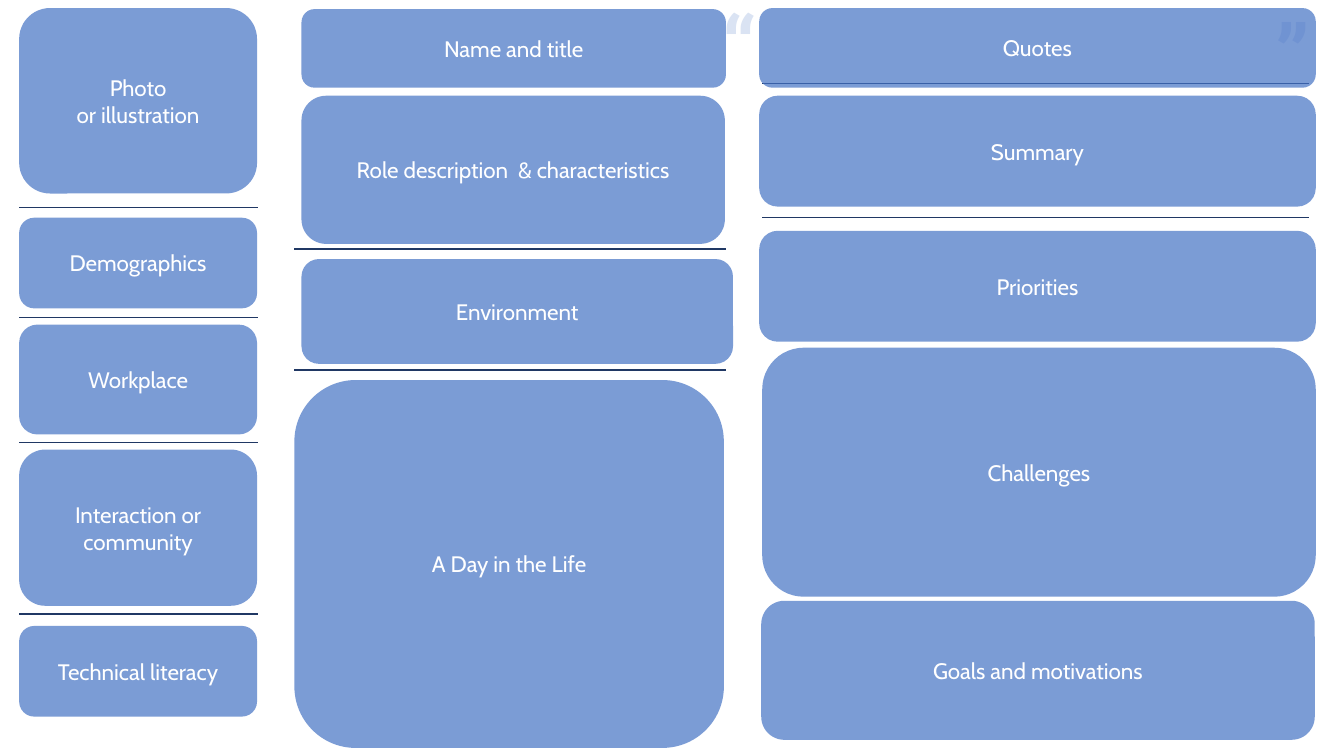
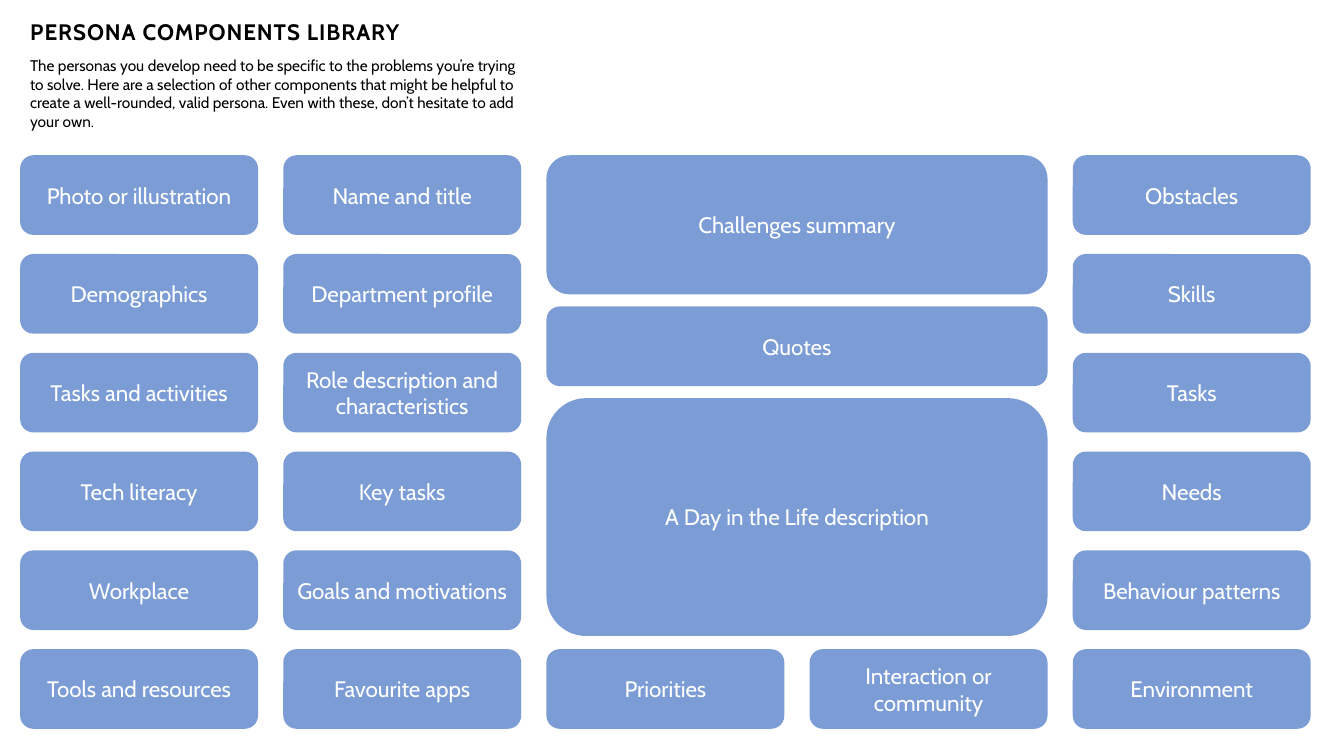
from lxml import etree
from pptx import Presentation
from pptx import util as u
from pptx.dml.color import RGBColor
from pptx.enum import shapes, text
from pptx.oxml.ns import qn

PX = 9144
CARD, NAVY, PALE, WHITE, BLACK = "4472C4", "203864", "DAE3F3", "FFFFFF", "000000"
BODY_FONT, QUOTE_FONT = "Cabin", "Roboto"
CARD_W, CARD_H = 236, 79
COL_X, COL_STEP = 20, 261
ROW_Y, ROW_STEP = 154, 98
WIDE_W = CARD_W + COL_STEP

RULES = [
    (19, 256, (206, 315, 439, 609)),
    (292, 720, (247, 367)),
    (756, 1298, (83, 216)),
]
QUOTE_MARKS = [("“", 707, -11), ("”", 1255, -3)]
PERSONA_CARDS = [
    ("Photo\vor illustration", 19, 8, 236, 184),
    ("Demographics", 19, 216, 236, 90),
    ("Workplace", 19, 322, 236, 109),
    ("Interaction or community", 19, 446, 236, 155),
    ("Technical literacy", 19, 621, 236, 90),
    ("Name and title", 299, 9, 421, 78),
    ("Role description  & characteristics", 299, 95, 420, 147),
    ("Environment", 299, 257, 428, 104),
    ("A Day in the Life", 292, 377, 426, 365),
    ("Quotes", 753, 8, 552, 79),
    ("Summary", 753, 95, 552, 110),
    ("Priorities", 753, 229, 552, 110),
    ("Challenges", 756, 345, 549, 247),
    ("Goals and motivations", 755, 596, 549, 138),
]
LIBRARY_COLUMNS = {
    0: ["Photo or illustration", "Demographics", "Tasks and activities",
        "Tech literacy", "Workplace", "Tools and resources"],
    1: ["Name and title", "Department profile",
        "Role description and characteristics", "Key tasks",
        "Goals and motivations", "Favourite apps"],
    4: ["Obstacles", "Skills", "Tasks", "Needs", "Behaviour patterns",
        "Environment"],
}
LIBRARY_BOTTOM = {2: "Priorities", 3: "Interaction or community"}
LIBRARY_WIDE = [
    ("Challenges summary", 154, 138),
    ("Quotes", 304, CARD_H),
    ("A Day in the Life description", 395, 236),
]
INTRO = (
    "The personas you develop need to be specific to the problems you’re "
    "trying to solve. Here are a selection of other components that might be "
    "helpful to create a well-rounded, valid persona. Even with these, don’t "
    "hesitate to add your own."
)


def rgb(value):
    """Turn a hex string into a colour."""
    return RGBColor.from_string(value)


def px(*values):
    """Turn pixel lengths into EMU."""
    return [u.Emu(v * PX) for v in values]


def write(sp, content, size, color, font=BODY_FONT, bold=False,
          align=text.PP_ALIGN.LEFT, anchor=text.MSO_ANCHOR.TOP):
    """Put formatted text into a shape and return its paragraph."""
    tf = sp.text_frame
    tf.text = content
    tf.word_wrap = True
    tf.auto_size = text.MSO_AUTO_SIZE.NONE
    tf.vertical_anchor = anchor
    p = tf.paragraphs[0]
    p.alignment = align
    for r in p.runs:
        r.font.name, r.font.size, r.font.bold = font, u.Pt(size), bold
        r.font.color.rgb = rgb(color)
    return p


def add_card(s, label, x, y, w=CARD_W, h=CARD_H):
    """Add a translucent rounded card with a centred label."""
    sp = s.shapes.add_shape(shapes.MSO_SHAPE.ROUNDED_RECTANGLE, *px(x, y, w, h))
    sp.shadow.inherit = False
    sp.fill.solid()
    sp.fill.fore_color.rgb = rgb(CARD)
    color = sp._element.spPr.find(qn("a:solidFill"))[0]
    etree.SubElement(color, qn("a:alpha"), val="70000")
    sp.line.fill.background()
    write(sp, label, 16, WHITE, align=text.PP_ALIGN.CENTER,
          anchor=text.MSO_ANCHOR.MIDDLE)


def add_rule(s, x1, x2, y):
    """Add a thin horizontal rule."""
    line = s.shapes.add_connector(shapes.MSO_CONNECTOR.STRAIGHT, *px(x1, y, x2, y))
    line.line.color.rgb = rgb(NAVY)
    line.line.width = u.Pt(1)
    etree.SubElement(line._element.spPr, qn("a:effectLst"))


def add_text(s, content, box, size, color, **style):
    """Add a text box."""
    write(s.shapes.add_textbox(*px(*box)), content, size, color, **style)


def set_title(s, content):
    """Place and format the title placeholder."""
    sp = s.shapes.title
    sp.left, sp.top, sp.width, sp.height = px(20, 0, 1150, 65)
    p = write(sp, content, 16, BLACK, bold=True, anchor=text.MSO_ANCHOR.MIDDLE)
    p.line_spacing = 0.9
    for r in p.runs:
        r.font._element.set("spc", "70")


def add_grid_card(s, label, col, row):
    """Add a standard card at a grid position."""
    add_card(s, label, COL_X + col * COL_STEP, ROW_Y + row * ROW_STEP)


def build_persona(prs):
    """Build the persona layout slide."""
    s = prs.slides.add_slide(prs.slide_layouts[6])
    for x1, x2, heights in RULES:
        for y in heights:
            add_rule(s, x1, x2, y)
    for mark, x, y in QUOTE_MARKS:
        add_text(s, mark, (x, y, 43, 59), 60, PALE, font=QUOTE_FONT, bold=True)
    for card in PERSONA_CARDS:
        add_card(s, *card)


def build_library(prs):
    """Build the components library slide."""
    s = prs.slides.add_slide(prs.slide_layouts[5])
    set_title(s, "PERSONA COMPONENTS LIBRARY")
    add_text(s, INTRO, (20, 51, 506, 75), 11, BLACK)
    for col, labels in LIBRARY_COLUMNS.items():
        for row, label in enumerate(labels):
            add_grid_card(s, label, col, row)
    for label, y, h in LIBRARY_WIDE:
        add_card(s, label, COL_X + 2 * COL_STEP, y, WIDE_W, h)
    for col, label in LIBRARY_BOTTOM.items():
        add_grid_card(s, label, col, 5)


def main():
    """Build and save the presentation."""
    prs = Presentation()
    prs.slide_width, prs.slide_height = px(1333, 750)
    build_persona(prs)
    build_library(prs)
    prs.save("out.pptx")


if __name__ == "__main__":
    main()
